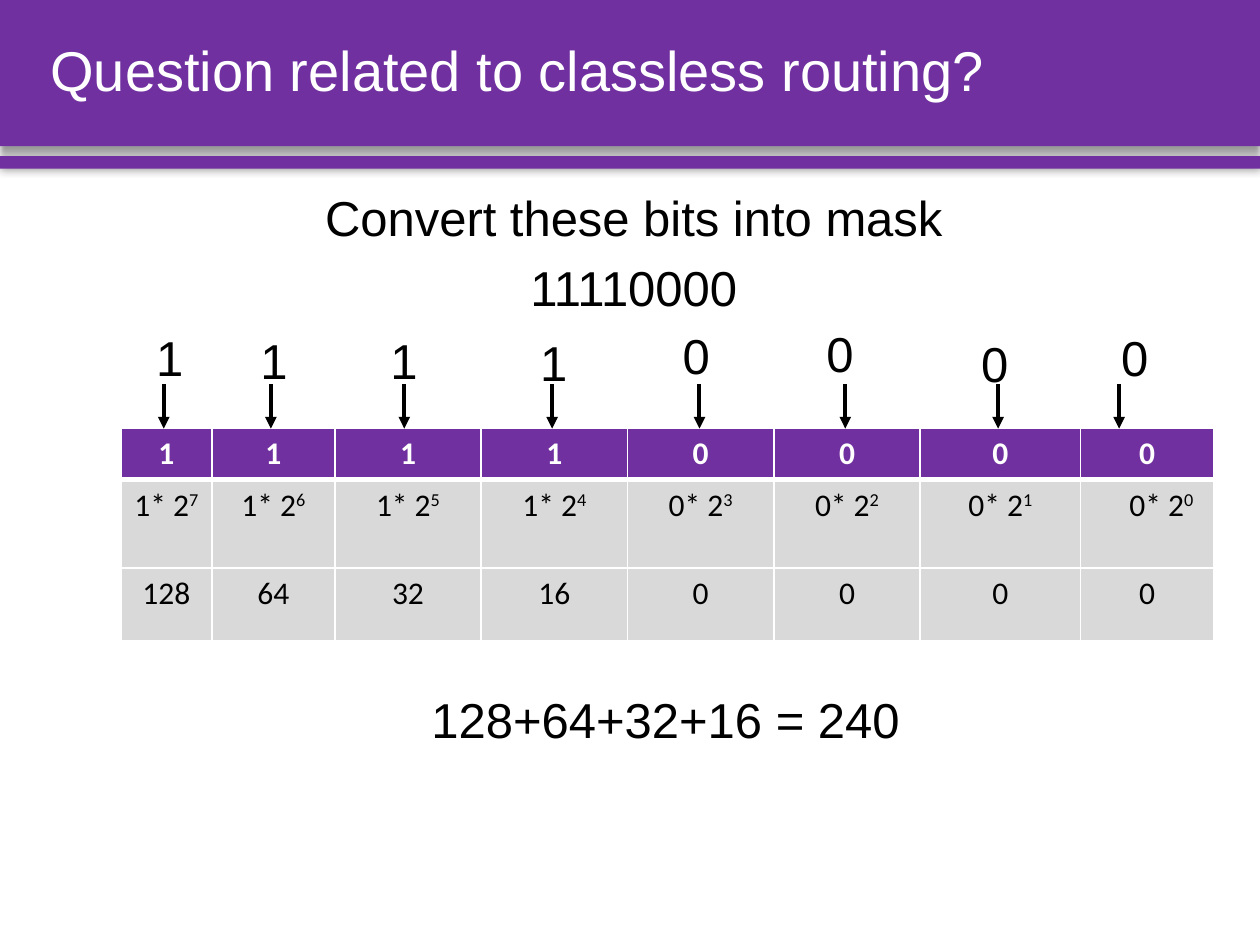
"""Builds a slide that converts the bits 11110000 into a mask value."""
from lxml import etree
from pptx import Presentation
from pptx.dml.color import RGBColor
from pptx.enum.shapes import MSO_CONNECTOR, MSO_SHAPE
from pptx.enum.text import MSO_ANCHOR, PP_ALIGN
from pptx.oxml import parse_xml
from pptx.oxml.ns import nsdecls, qn
from pptx.util import Cm, Pt

RECTANGLE = MSO_SHAPE.RECTANGLE
STRAIGHT = MSO_CONNECTOR.STRAIGHT
MIDDLE = MSO_ANCHOR.MIDDLE
LEFT, CENTER = PP_ALIGN.LEFT, PP_ALIGN.CENTER

PURPLE = RGBColor(0x70, 0x30, 0xA0)
GRAY = RGBColor(0xD9, 0xD9, 0xD9)
BLACK = RGBColor(0, 0, 0)
WHITE = RGBColor(0xFF, 0xFF, 0xFF)

BITS = "11110000"
DIGIT_PLACES = [(2.9, 6.48), (5, 6.53), (7.62, 6.53), (10.64, 6.58),
                (13.51, 6.43), (16.41, 6.4), (19.53, 6.6), (22.35, 6.48)]
ARROW_LEFTS = [3.3, 5.46, 8.15, 11.13, 14.1, 17.04, 20.12, 22.56]
COLUMN_WIDTHS = [1.83, 2.48, 2.95, 2.95, 2.95, 2.95, 3.23, 2.69]
ROW_HEIGHTS = [1.03, 1.78, 1.47]
TABLE_LEFT, TABLE_TOP = 2.44, 8.64


class MaskSlide:
    """Holds the text style and the slide being built."""

    text_font = "Arial"
    table_font = "Calibri"
    text_size = 28
    table_size = 18

    def __init__(self, deck):
        self.slide = deck.slides.add_slide(deck.slide_layouts[5])
        self.shapes = self.slide.shapes

    def run(self, paragraph, text, font, size, color, bold=False):
        run = paragraph.add_run()
        run.text = text
        run.font.name = font
        run.font.size = Pt(size)
        run.font.color.rgb = color
        run.font.bold = bold
        return run

    def title(self, text):
        title = self.shapes.title
        title.left, title.top = Cm(0.76), Cm(0)
        title.width, title.height = Cm(24.03), Cm(2.95)
        title.text_frame.vertical_anchor = MIDDLE
        paragraph = title.text_frame.paragraphs[0]
        paragraph.alignment = LEFT
        paragraph.line_spacing = 0.9
        self.run(paragraph, text, self.text_font, 32, WHITE)

    def band(self, top, height, blur, distance, angle):
        band = self.shapes.add_shape(RECTANGLE, Cm(0), Cm(top), Cm(25.4), Cm(height))
        band.fill.solid()
        band.fill.fore_color.rgb = PURPLE
        band.line.fill.background()
        band.shadow.inherit = False
        band.element.spPr.find(qn("a:effectLst")).append(parse_xml(
            f'<a:outerShdw {nsdecls("a")} blurRad="{Pt(blur)}" dist="{Pt(distance)}" '
            f'dir="{angle * 60000}" algn="t" rotWithShape="0"><a:srgbClr val="000000">'
            '<a:alpha val="40000"/></a:srgbClr></a:outerShdw>'))
        self.shapes.title.element.addprevious(band.element)

    def text(self, left, top, width, height, lines, alignment=CENTER, spacing=1.0):
        box = self.shapes.add_textbox(Cm(left), Cm(top), Cm(width), Cm(height))
        frame = box.text_frame
        frame.word_wrap = True
        for index, line in enumerate(lines):
            paragraph = frame.add_paragraph() if index else frame.paragraphs[0]
            paragraph.alignment = alignment
            paragraph.line_spacing = spacing
            if index:
                paragraph.space_before = Pt(10)
            self.run(paragraph, line, self.text_font, self.text_size, BLACK)

    def arrow(self, left, top, bottom):
        arrow = self.shapes.add_connector(STRAIGHT, Cm(left), Cm(top), Cm(left), Cm(bottom))
        arrow.line.color.rgb = BLACK
        arrow.line.width = Pt(2.25)
        etree.SubElement(arrow.line._get_or_add_ln(), qn("a:tailEnd"), type="triangle")
        etree.SubElement(arrow.element.spPr, qn("a:effectLst"))

    def borders(self, cell, top, bottom):
        properties = cell._tc.get_or_add_tcPr()
        for index, (side, width) in enumerate(
                [("lnL", 1), ("lnR", 1), ("lnT", top), ("lnB", bottom)]):
            properties.insert(index, parse_xml(
                f'<a:{side} {nsdecls("a")} w="{Pt(width)}"><a:solidFill>'
                f'<a:srgbClr val="{WHITE}"/></a:solidFill></a:{side}>'))

    def cell(self, cell, text, power="", header=False, top=1, bottom=1):
        cell.fill.solid()
        cell.fill.fore_color.rgb = PURPLE if header else GRAY
        self.borders(cell, top, bottom)
        paragraph = cell.text_frame.paragraphs[0]
        paragraph.alignment = CENTER
        color = WHITE if header else BLACK
        self.run(paragraph, text, self.table_font, self.table_size, color, header)
        if power:
            raised = self.run(paragraph, power, self.table_font, self.table_size, color)
            raised.font._element.set("baseline", "30000")

    def table(self, bits):
        table = self.shapes.add_table(
            len(ROW_HEIGHTS), len(bits), Cm(TABLE_LEFT), Cm(TABLE_TOP),
            Cm(sum(COLUMN_WIDTHS)), Cm(sum(ROW_HEIGHTS))).table
        for row, height in zip(table.rows, ROW_HEIGHTS):
            row.height = Cm(height)
        for index, (bit, width) in enumerate(zip(bits, COLUMN_WIDTHS)):
            table.columns[index].width = Cm(width)
            power = len(bits) - 1 - index
            self.cell(table.cell(0, index), bit, header=True, bottom=3)
            self.cell(table.cell(1, index), f"{bit}* 2", str(power), top=3)
            self.cell(table.cell(2, index), str(int(bit) * 2 ** power))
        table.cell(1, len(bits) - 1).margin_left = Cm(0.83)


def main():
    deck = Presentation()
    deck.slide_width, deck.slide_height = Cm(25.4), Cm(19.05)
    page = MaskSlide(deck)
    page.band(0, 2.95, blur=4, distance=3, angle=90)
    page.band(3.15, 0.25, blur=5, distance=0, angle=0)
    page.title("Question related to classless routing?")
    page.text(0.76, 3.78, 24.03, 2.7, ["Convert these bits into mask", BITS], spacing=0.9)
    page.table(BITS)
    for bit, (left, top), arrow_left in zip(BITS, DIGIT_PLACES, ARROW_LEFTS):
        page.arrow(arrow_left, 7.75, TABLE_TOP)
        page.text(left, top, 0.94, 1.45, [bit], LEFT)
    page.text(3.61, 13.77, 19.61, 1.45, ["128+64+32+16 = 240"])
    deck.save("out.pptx")


if __name__ == "__main__":
    main()
